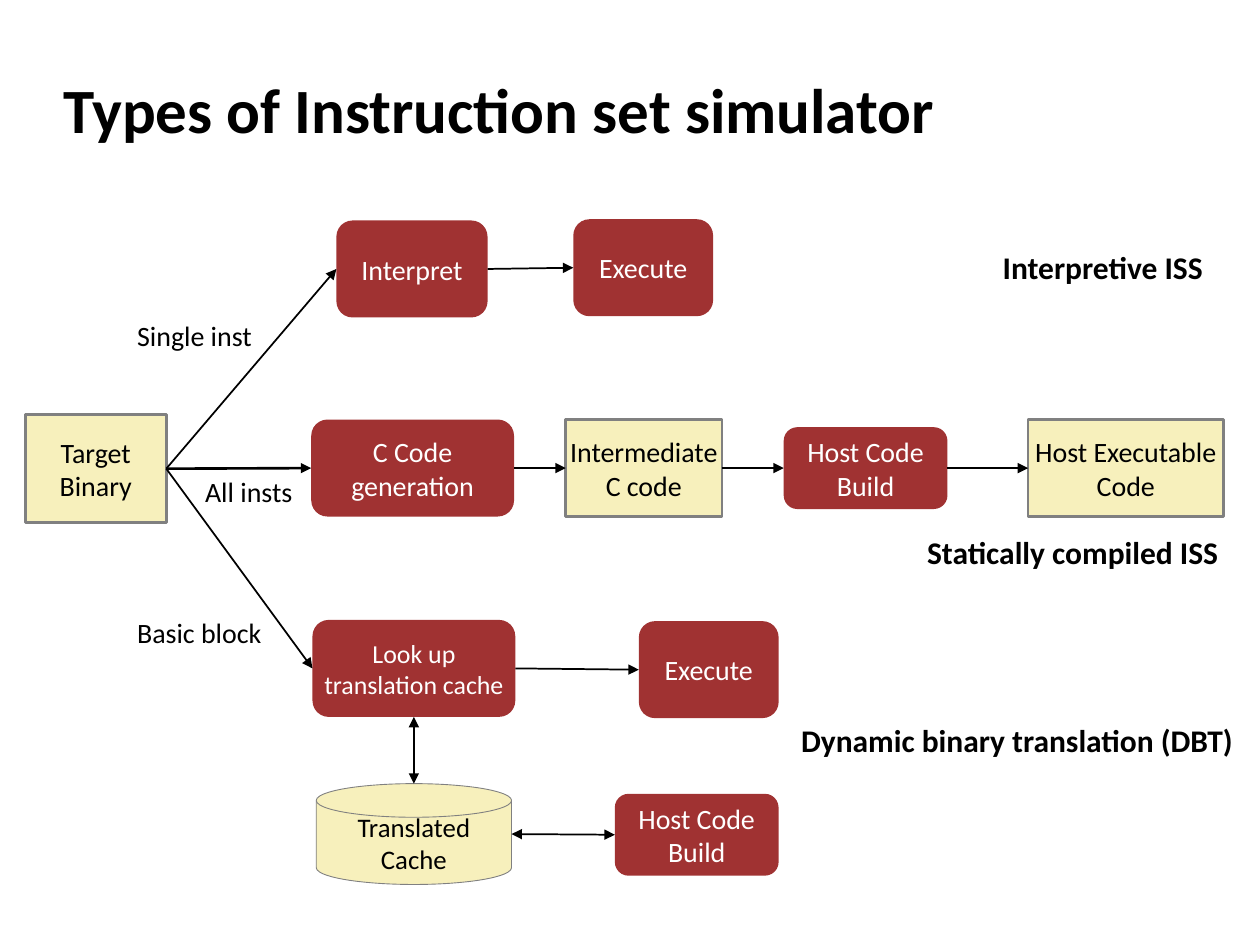
from lxml import etree
from pptx import Presentation
from pptx.dml.color import RGBColor
from pptx.enum.shapes import MSO_CONNECTOR, MSO_SHAPE
from pptx.enum.text import MSO_ANCHOR, MSO_AUTO_SIZE, PP_ALIGN
from pptx.oxml.ns import qn
from pptx.util import Inches, Pt

RECT = MSO_SHAPE.RECTANGLE
ROUNDED = MSO_SHAPE.ROUNDED_RECTANGLE
DISK = MSO_SHAPE.FLOWCHART_MAGNETIC_DISK
STRAIGHT = MSO_CONNECTOR.STRAIGHT
MIDDLE = MSO_ANCHOR.MIDDLE
LEFT, CENTER = PP_ALIGN.LEFT, PP_ALIGN.CENTER
FIT_SHAPE = MSO_AUTO_SIZE.SHAPE_TO_FIT_TEXT

BLACK, WHITE, GREY = "000000", "FFFFFF", "808080"
RED, CREAM = "A03232", "F7F0BC"
TOP_SITE, LEFT_SITE, BOTTOM_SITE, RIGHT_SITE = range(4)


def rgb(hex_color):
    return RGBColor.from_string(hex_color)


def write(frame, text, size, color=BLACK, bold=False, align=LEFT):
    frame.text = text
    for paragraph in frame.paragraphs:
        paragraph.alignment = align
        for run in paragraph.runs:
            run.font.name = "Calibri"
            run.font.size = Pt(size)
            run.font.bold = bold
            run.font.color.rgb = rgb(color)


prs = Presentation()
prs.slide_width, prs.slide_height = Inches(10), Inches(7.5)
slide = prs.slides.add_slide(prs.slide_layouts[5])

title = slide.shapes.title
title.left, title.top = Inches(0.4), Inches(0.42)
title.width, title.height = Inches(9.19), Inches(0.83)
title.text_frame.margin_top = Inches(0.1)
title.text_frame.vertical_anchor = MIDDLE
write(title.text_frame, "Types of Instruction set simulator", 36, bold=True)

# Rounded red boxes are processing steps, cream ones hold code
# key: text, kind, left, top, width, height, text size
boxes = {
    "target": ("Target Binary", RECT, 0.2, 3.29, 1.12, 0.86, 16),
    "interpret": ("Interpret", ROUNDED, 2.67, 1.75, 1.2, 0.77, 16),
    "interpret run": ("Execute", ROUNDED, 4.55, 1.74, 1.11, 0.77, 16),
    "generate": ("C Code generation", ROUNDED, 2.47, 3.33, 1.61, 0.77, 16),
    "c code": ("Intermediate\vC code", RECT, 4.49, 3.33, 1.24, 0.77, 16),
    "static build": ("Host Code Build", ROUNDED, 6.22, 3.39, 1.3, 0.65, 16),
    "executable": ("Host Executable Code", RECT, 8.16, 3.33, 1.55, 0.77, 16),
    "look up": ("Look up translation cache", ROUNDED, 2.48, 4.92, 1.61, 0.77, 14.8),
    "dynamic run": ("Execute", ROUNDED, 5.07, 4.93, 1.11, 0.77, 16),
    "cache": ("Translated\vCache", DISK, 2.51, 6.22, 1.55, 0.8, 15.3),
    "dynamic build": ("Host Code Build", ROUNDED, 4.88, 6.3, 1.3, 0.65, 16),
}
nodes = {}
for key, (text, kind, left, top, width, height, size) in boxes.items():
    node = slide.shapes.add_shape(
        kind, Inches(left), Inches(top), Inches(width), Inches(height))
    node.shadow.inherit = False
    node.fill.solid()
    node.fill.fore_color.rgb = rgb(RED if kind == ROUNDED else CREAM)
    if kind == ROUNDED:
        node.line.fill.background()
    else:
        node.line.color.rgb = rgb(GREY)
        node.line.width = Pt(0.5 if kind == DISK else 1.5)
    frame = node.text_frame
    frame.margin_left = frame.margin_right = 0
    frame.margin_top = frame.margin_bottom = 0
    frame.vertical_anchor = MIDDLE
    frame.word_wrap = True
    write(frame, text, size, WHITE if kind == ROUNDED else BLACK, align=CENTER)
    nodes[key] = node

# start, site, end, site, line width, arrowheads at both ends
arrows = [
    ("target", RIGHT_SITE, "interpret", LEFT_SITE, 1, False),
    ("target", RIGHT_SITE, "generate", LEFT_SITE, 1.5, False),
    ("target", RIGHT_SITE, "look up", LEFT_SITE, 1, False),
    ("interpret", RIGHT_SITE, "interpret run", LEFT_SITE, 1, False),
    ("generate", RIGHT_SITE, "c code", LEFT_SITE, 1.5, False),
    ("c code", RIGHT_SITE, "static build", LEFT_SITE, 1.5, False),
    ("static build", RIGHT_SITE, "executable", LEFT_SITE, 1.5, False),
    ("look up", RIGHT_SITE, "dynamic run", LEFT_SITE, 1, False),
    ("look up", BOTTOM_SITE, "cache", TOP_SITE, 1, True),
    ("cache", RIGHT_SITE, "dynamic build", LEFT_SITE, 1, True),
]
for start, start_site, end, end_site, width, both_ends in arrows:
    arrow = slide.shapes.add_connector(STRAIGHT, 0, 0, 0, 0)
    arrow.begin_connect(nodes[start], start_site)
    arrow.end_connect(nodes[end], end_site)
    arrow.line.color.rgb = rgb(BLACK)
    arrow.line.width = Pt(width)
    line = arrow.line._get_or_add_ln()
    for end_tag in ("a:headEnd", "a:tailEnd") if both_ends else ("a:tailEnd",):
        etree.SubElement(line, qn(end_tag), type="triangle")
    etree.SubElement(arrow._element.spPr, qn("a:effectLst"))
    # The disk numbers its sites differently, so its ends stay unglued
    links = arrow._element.nvCxnSpPr.cNvCxnSpPr
    for link in list(links):
        if link.get("id") == str(nodes["cache"].shape_id):
            links.remove(link)

# text, left, top, width, height, size, bold
labels = [
    ("Single inst", 0.99, 2.48, 1.12, 0.37, 16, False),
    ("All insts", 1.53, 3.72, 0.93, 0.37, 16, False),
    ("Basic block", 0.99, 4.84, 1.2, 0.37, 16, False),
    ("Interpretive ISS", 7.86, 1.92, 1.8, 0.4, 18, True),
    ("Statically compiled ISS", 7.26, 4.18, 2.53, 0.4, 18, True),
    ("Dynamic binary translation (DBT)", 6.26, 5.67, 3.66, 0.4, 18, True),
]
for text, left, top, width, height, size, bold in labels:
    label = slide.shapes.add_textbox(
        Inches(left), Inches(top), Inches(width), Inches(height))
    label.text_frame.word_wrap = False
    label.text_frame.auto_size = FIT_SHAPE
    write(label.text_frame, text, size, bold=bold)

prs.save("out.pptx")
